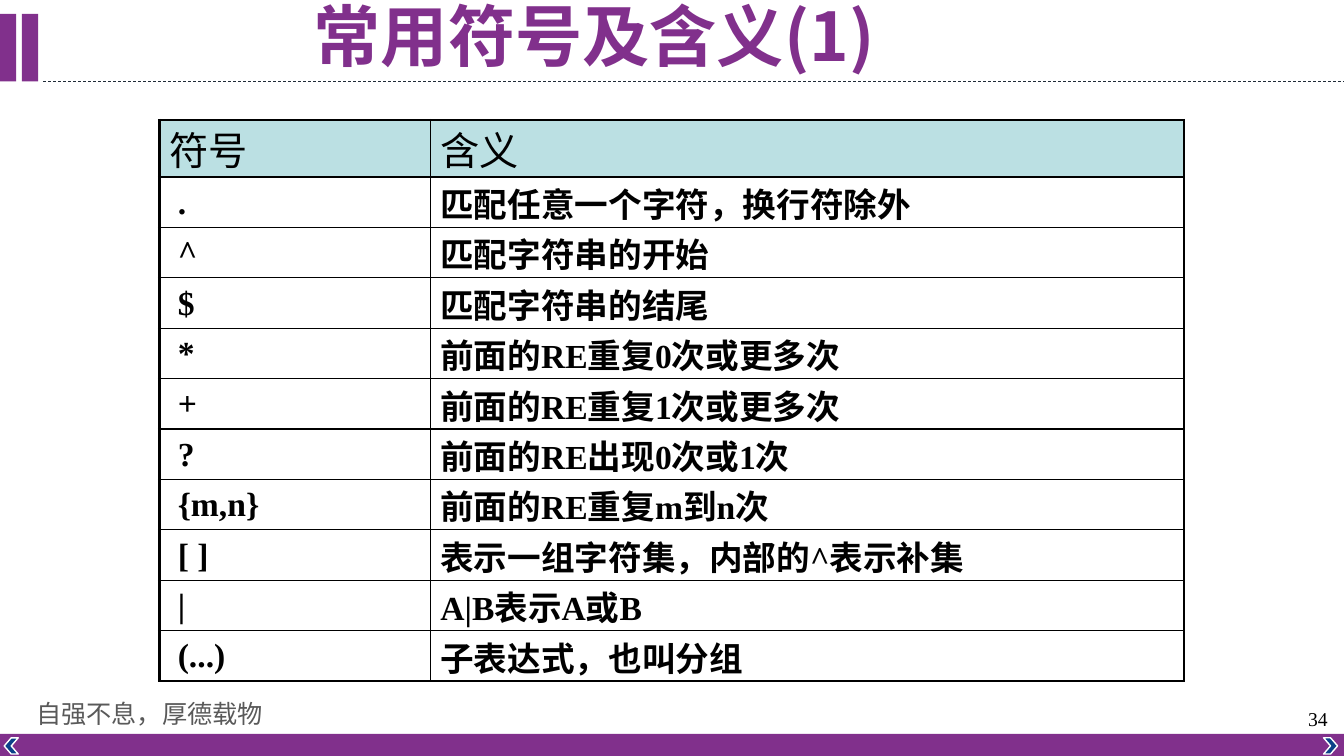
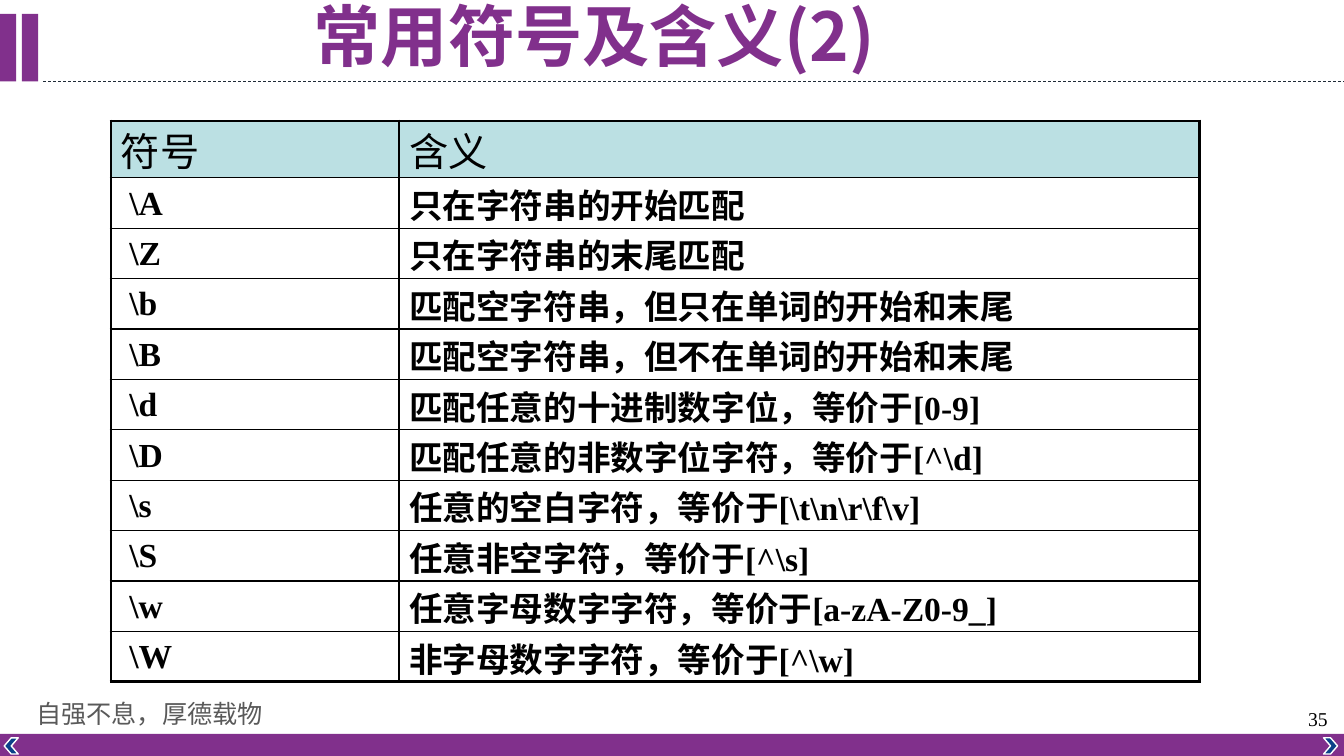
import pptx
import pptx.util
import pptx.dml.color
import pptx.enum.dml
import pptx.enum.shapes
import pptx.enum.text
import pptx.oxml
import pptx.oxml.ns
import lxml.etree

Pt = pptx.util.Pt
SHAPES = pptx.enum.shapes.MSO_SHAPE
ALIGN = pptx.enum.text.PP_ALIGN
ANCHOR = pptx.enum.text.MSO_ANCHOR

COLORS = {
    "purple": "81308C",
    "navy": "0B4189",
    "rule": "1F2B37",
    "motto": "595959",
    "header": "BBE0E3",
    "black": "000000",
    "white": "FFFFFF",
}
SANS = "Noto Sans CJK SC"
SERIF = "Times New Roman"
PAGE_WIDTH, PAGE_HEIGHT = 960, 540
HEADER_HEIGHT, ROW_HEIGHT = 40.6, 36
THICK, THIN = 2.25, 1

STYLES = {
    "title": {"size": 48, "bold": True, "name": SANS, "color": "purple"},
    "motto": {"size": 18, "bold": False, "name": SANS, "color": "motto"},
    "number": {"size": 14, "bold": False, "name": SERIF, "color": "black"},
    "header": {"size": 28, "bold": False, "name": SANS, "color": "black"},
    "body": {"size": 24, "bold": True, "name": SERIF, "color": "black"},
}

HEADINGS = ("符号", "含义")
PAGES = [
    {
        "title": "常用符号及含义(1)",
        "number": 34,
        "place": (113.8, 85.8),
        "widths": (193.6, 538.4),
        "rows": [
            (".", "匹配任意一个字符，换行符除外"),
            ("^", "匹配字符串的开始"),
            ("$", "匹配字符串的结尾"),
            ("*", "前面的RE重复0次或更多次"),
            ("+", "前面的RE重复1次或更多次"),
            ("?", "前面的RE出现0次或1次"),
            ("{m,n}", "前面的RE重复m到n次"),
            ("[ ]", "表示一组字符集，内部的^表示补集"),
            ("|", "A|B表示A或B"),
            ("(...)", "子表达式，也叫分组"),
        ],
    },
    {
        "title": "常用符号及含义(2)",
        "number": 35,
        "place": (79.2, 86.4),
        "widths": (205.8, 571.8),
        "rows": [
            (r"\A", "只在字符串的开始匹配"),
            (r"\Z", "只在字符串的末尾匹配"),
            (r"\b", "匹配空字符串，但只在单词的开始和末尾"),
            (r"\B", "匹配空字符串，但不在单词的开始和末尾"),
            (r"\d", "匹配任意的十进制数字位，等价于[0-9]"),
            (r"\D", r"匹配任意的非数字位字符，等价于[^\d]"),
            (r"\s", r"任意的空白字符，等价于[\t\n\r\f\v]"),
            (r"\S", r"任意非空字符，等价于[^\s]"),
            (r"\w", "任意字母数字字符，等价于[a-zA-Z0-9_]"),
            (r"\W", r"非字母数字字符，等价于[^\w]"),
        ],
    },
]


def rgb(name):
    return pptx.dml.color.RGBColor.from_string(COLORS[name])


def add_child(parent, tag, **attributes):
    return lxml.etree.SubElement(parent, pptx.oxml.ns.qn(tag), attributes)


def write(para, text, style):
    span = para.add_run()
    span.text = text
    values = STYLES[style]
    for key in ("bold", "name"):
        setattr(span.font, key, values[key])
    span.font.size = Pt(values["size"])
    span.font.color.rgb = rgb(values["color"])
    add_child(span.font._element, "a:ea", typeface=SANS)


def set_margins(target, left, top, right, bottom):
    margins = {"left": left, "top": top, "right": right, "bottom": bottom}
    for side, value in margins.items():
        setattr(target, f"margin_{side}", Pt(value))


def add_text(page, place, text, style, align=ALIGN.LEFT, spacing=1.0, inset=7.2):
    box = page.shapes.add_textbox(*map(Pt, place))
    frame = box.text_frame
    frame.word_wrap = True
    set_margins(frame, inset, 0, 0, 0)
    para = frame.paragraphs[0]
    para.alignment = align
    para.line_spacing = spacing
    write(para, text, style)


def add_block(page, kind, place, fill, line=None, rotation=0):
    shape = page.shapes.add_shape(kind, *map(Pt, place))
    shape.shadow.inherit = False
    shape.rotation = rotation
    shape.fill.solid()
    shape.fill.fore_color.rgb = rgb(fill)
    if line:
        shape.line.color.rgb = rgb(line)
        shape.line.width = Pt(1)
    else:
        shape.line.fill.background()


def add_rule(page, left, right, height):
    rule = page.shapes.add_connector(
        pptx.enum.shapes.MSO_CONNECTOR.STRAIGHT,
        Pt(left), Pt(height), Pt(right), Pt(height),
    )
    rule.line.color.rgb = rgb("rule")
    rule.line.width = Pt(0.5)
    rule.line.dash_style = pptx.enum.dml.MSO_LINE.DASH
    add_child(rule._element.spPr, "a:effectLst")


def add_frame(page, number):
    add_rule(page, 31, PAGE_WIDTH, 58.3)
    for left in (0, 15.6):
        add_block(page, SHAPES.RECTANGLE, (left, 10, 11.6, 48.2), "purple")
    add_block(page, SHAPES.RECTANGLE, (0, 524.2, PAGE_WIDTH, 15.8), "purple")
    for left, rotation in ((945.4, 0), (3, 180)):
        add_block(page, SHAPES.CHEVRON, (left, 527, 10, 11.6), "navy", "white", rotation)
    add_text(page, (18.7, 499, 177, 28.8), "自强不息，厚德载物", "motto")
    add_text(page, (927.2, 504.8, 32.8, 20), str(number), "number")


def set_borders(cell, widths):
    properties = cell._tc.get_or_add_tcPr()
    for side, width in zip("LRTB", widths):
        border = add_child(properties, f"a:ln{side}", w=str(Pt(width)))
        fill = add_child(border, "a:solidFill")
        add_child(fill, "a:srgbClr", val=COLORS["black"])


def fill_cell(cell, text, style, indent):
    cell.vertical_anchor = ANCHOR.MIDDLE
    set_margins(cell, indent, 0 if style == "header" else 1.2, 0, 0)
    write(cell.text_frame.paragraphs[0], text, style)
    if style == "header":
        cell.fill.solid()
        cell.fill.fore_color.rgb = rgb("header")
    else:
        cell.fill.background()


def add_symbol_table(page, place, widths, rows):
    lines = [HEADINGS, *rows]
    heights = [HEADER_HEIGHT] + [ROW_HEIGHT] * len(rows)
    size = (sum(widths), sum(heights))
    table = page.shapes.add_table(len(lines), len(widths), *map(Pt, (*place, *size))).table
    table.first_row = table.horz_banding = False
    for column, width in zip(table.columns, widths):
        column.width = Pt(width)
    last_row, last_column = len(lines) - 1, len(widths) - 1
    for r, (line, height) in enumerate(zip(lines, heights)):
        table.rows[r].height = Pt(height)
        for c, text in enumerate(line):
            cell = table.cell(r, c)
            outer = (c == 0, c == last_column, r == 0, r == last_row)
            set_borders(cell, [THICK if edge else THIN for edge in outer])
            indent = 13.2 if r > 0 and c == 0 else 7.2
            fill_cell(cell, text, "body" if r else "header", indent)


def main():
    deck = pptx.Presentation()
    deck.slide_width, deck.slide_height = Pt(PAGE_WIDTH), Pt(PAGE_HEIGHT)
    for content in PAGES:
        page = deck.slides.add_slide(deck.slide_layouts[6])
        add_frame(page, content["number"])
        add_text(page, (31.6, 2.6, 785.6, 55), content["title"], "title",
                 ALIGN.CENTER, 0.9, 0)
        add_symbol_table(page, content["place"], content["widths"], content["rows"])
    deck.save("out.pptx")


if __name__ == "__main__":
    main()
